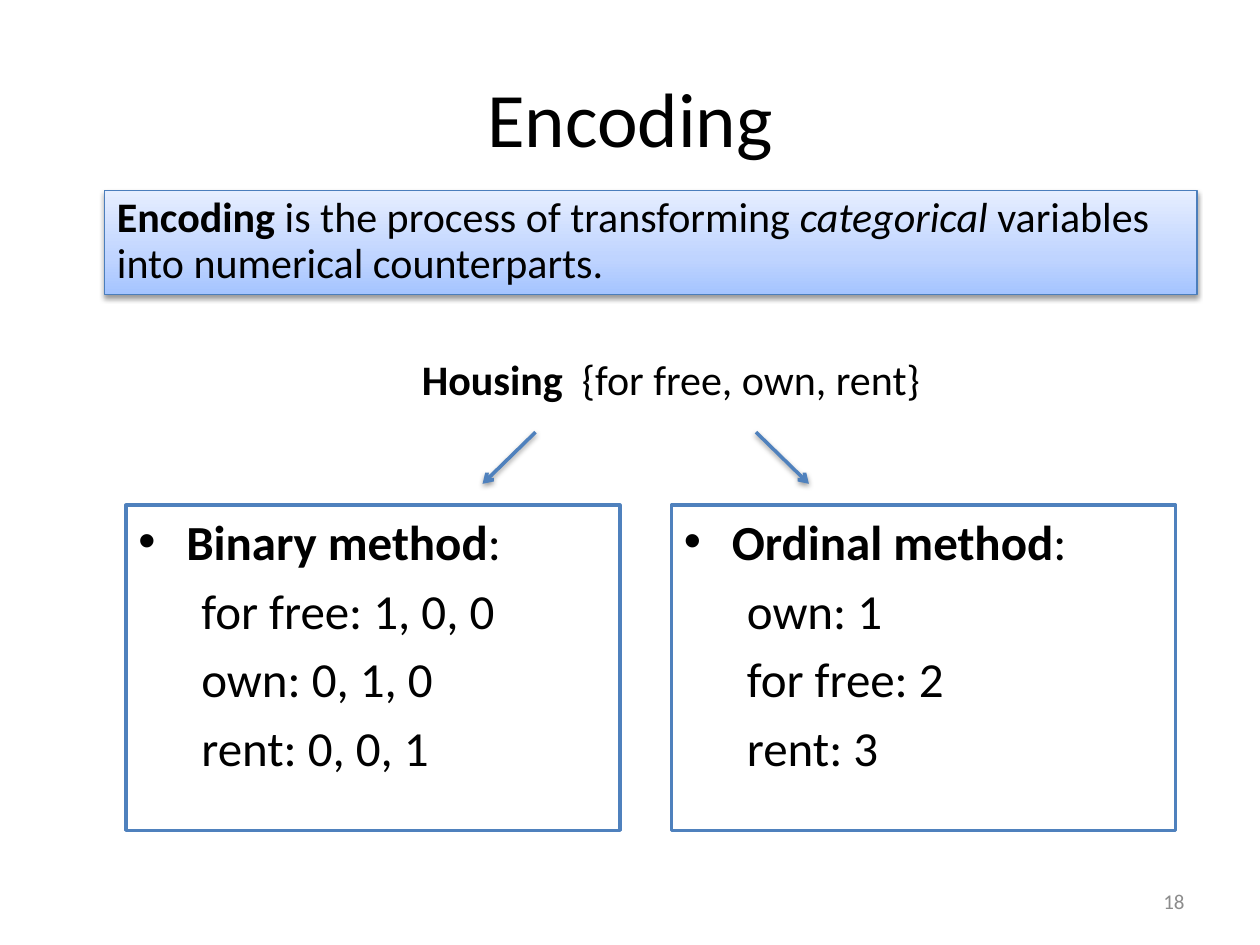
from lxml.etree import SubElement
from copy import deepcopy
from pptx import Presentation
from pptx.dml.color import RGBColor
from pptx.enum.shapes import MSO_CONNECTOR, MSO_SHAPE
from pptx.enum.text import MSO_ANCHOR, PP_ALIGN
from pptx.oxml.ns import qn
from pptx.util import Inches, Pt

W, H = 10, 7.5
BLUE = "4F81BD"
TITLE = "Encoding"
DEFINITION = [("Encoding ", "b"), ("is the process of transforming ", ""),
              ("categorical", "i"), (" variables into numerical counterparts.", "")]
VARIABLE = [("Housing", "b"), ("  {for free, own, rent}", "")]
METHODS = [
    ("Binary method", ["for free: 1, 0, 0", "own: 0, 1, 0", "rent: 0, 0, 1"], 1, 3.92),
    ("Ordinal method", ["own: 1", "for free: 2", "rent: 3"], 5.33, 4),
]
ARROWS = [(4.25, -1), (6, 1)]
ARROW_TOP, ARROW_DX, ARROW_DY = 3.43, 0.42, 0.41
PANEL_TOP, PANEL_H = 4.01, 2.58
GRADIENT = [(0, "A4C4FF"), (0.35, "BFD4FF"), (1, "E6EEFF")]
PAGE = "18"


def rgb(value):
    return RGBColor.from_string(value)


def write(p, runs, size, color="000000", align=None, margin=0, hang=0,
          bullet=None, before=0, spacing=None):
    pPr = p._p.get_or_add_pPr()
    pPr.set("marL", str(Inches(margin)))
    pPr.set("indent", str(Inches(-hang)))
    if bullet:
        SubElement(pPr, qn("a:buFont"), typeface="Arial")
        SubElement(pPr, qn("a:buChar"), char=bullet)
    p.alignment = align
    p.space_before = Pt(before)
    if spacing:
        p.line_spacing = spacing
    for text, style in runs:
        r = p.add_run()
        r.text = text
        r.font.name = "Calibri"
        r.font.size = Pt(size)
        r.font.color.rgb = rgb(color)
        r.font.bold = "b" in style
        r.font.italic = "i" in style


def add_box(s, x, y, w, h, fill=None, line=None, weight=2):
    sp = s.shapes.add_shape(MSO_SHAPE.RECTANGLE, Inches(x), Inches(y), Inches(w), Inches(h))
    sp.shadow.inherit = False
    if fill:
        sp.fill.solid()
        sp.fill.fore_color.rgb = rgb(fill)
    if line:
        sp.line.color.rgb = rgb(line)
        sp.line.width = Pt(weight)
    else:
        sp.line.fill.background()
    tf = sp.text_frame
    tf.word_wrap = True
    tf.vertical_anchor = MSO_ANCHOR.TOP
    tf.paragraphs[0].alignment = PP_ALIGN.LEFT
    return sp


def add_shadow(sp):
    spPr = sp._element.spPr
    effects = spPr.find(qn("a:effectLst"))
    if effects is None:
        effects = SubElement(spPr, qn("a:effectLst"))
    shadow = SubElement(effects, qn("a:outerShdw"), blurRad=str(Pt(3.1)),
                        dist=str(Pt(1.6)), dir="5400000", rotWithShape="0")
    color = SubElement(shadow, qn("a:srgbClr"), val="000000")
    SubElement(color, qn("a:alpha"), val="38000")


def add_gradient(sp, stops):
    sp.fill.gradient()
    sp.fill.gradient_angle = 90
    gs_list = sp._element.spPr.find(qn("a:gradFill")).find(qn("a:gsLst"))
    while len(gs_list) < len(stops):
        gs_list.append(deepcopy(gs_list[0]))
    for stop, (position, color) in zip(sp.fill.gradient_stops, stops):
        stop.position = position
        stop.color.rgb = rgb(color)


def add_arrow(s, x, direction):
    cx = s.shapes.add_connector(
        MSO_CONNECTOR.STRAIGHT, Inches(x), Inches(ARROW_TOP),
        Inches(x + direction * ARROW_DX), Inches(ARROW_TOP + ARROW_DY))
    cx.line.color.rgb = rgb(BLUE)
    cx.line.width = Pt(2)
    SubElement(cx.line._get_or_add_ln(), qn("a:tailEnd"), type="arrow")
    add_shadow(cx)


def add_panel(s, name, codes, x, w):
    tf = add_box(s, x, PANEL_TOP, w, PANEL_H, "FFFFFF", BLUE).text_frame
    write(tf.paragraphs[0], [(name, "b"), (":", "")], 28, align=PP_ALIGN.LEFT,
          margin=0.38, hang=0.38, bullet="•")
    for code in codes:
        write(tf.add_paragraph(), [(code, "")], 28, align=PP_ALIGN.LEFT,
              margin=0.5, before=5.6)


def main():
    prs = Presentation()
    prs.slide_width, prs.slide_height = Inches(W), Inches(H)
    s = prs.slides.add_slide(prs.slide_layouts[5])

    title = s.shapes.title
    title.left, title.top, title.width, title.height = map(Inches, (0.5, 0.3, 9, 1.25))
    title.text_frame.vertical_anchor = MSO_ANCHOR.MIDDLE
    write(title.text_frame.paragraphs[0], [(TITLE, "")], 44, align=PP_ALIGN.CENTER)

    definition = add_box(s, 0.83, 1.51, 8.67, 0.83, line="4B7EBC", weight=0.75)
    add_gradient(definition, GRADIENT)
    add_shadow(definition)
    write(definition.text_frame.paragraphs[0], DEFINITION, 24,
          align=PP_ALIGN.LEFT, spacing=0.9)

    variable = add_box(s, 2.75, 2.76, 4.67, 0.5, "FFFFFF")
    variable.text_frame.word_wrap = False
    write(variable.text_frame.paragraphs[0], VARIABLE, 24, align=PP_ALIGN.LEFT, margin=0.5)

    for x, direction in ARROWS:
        add_arrow(s, x, direction)
    for name, codes, x, w in METHODS:
        add_panel(s, name, codes, x, w)

    page = s.shapes.add_textbox(Inches(7.17), Inches(6.95), Inches(2.33), Inches(0.4))
    page.text_frame.word_wrap = True
    page.text_frame.vertical_anchor = MSO_ANCHOR.MIDDLE
    write(page.text_frame.paragraphs[0], [(PAGE, "")], 12, "8C8C8C", PP_ALIGN.RIGHT)

    prs.save("out.pptx")


if __name__ == "__main__":
    main()
